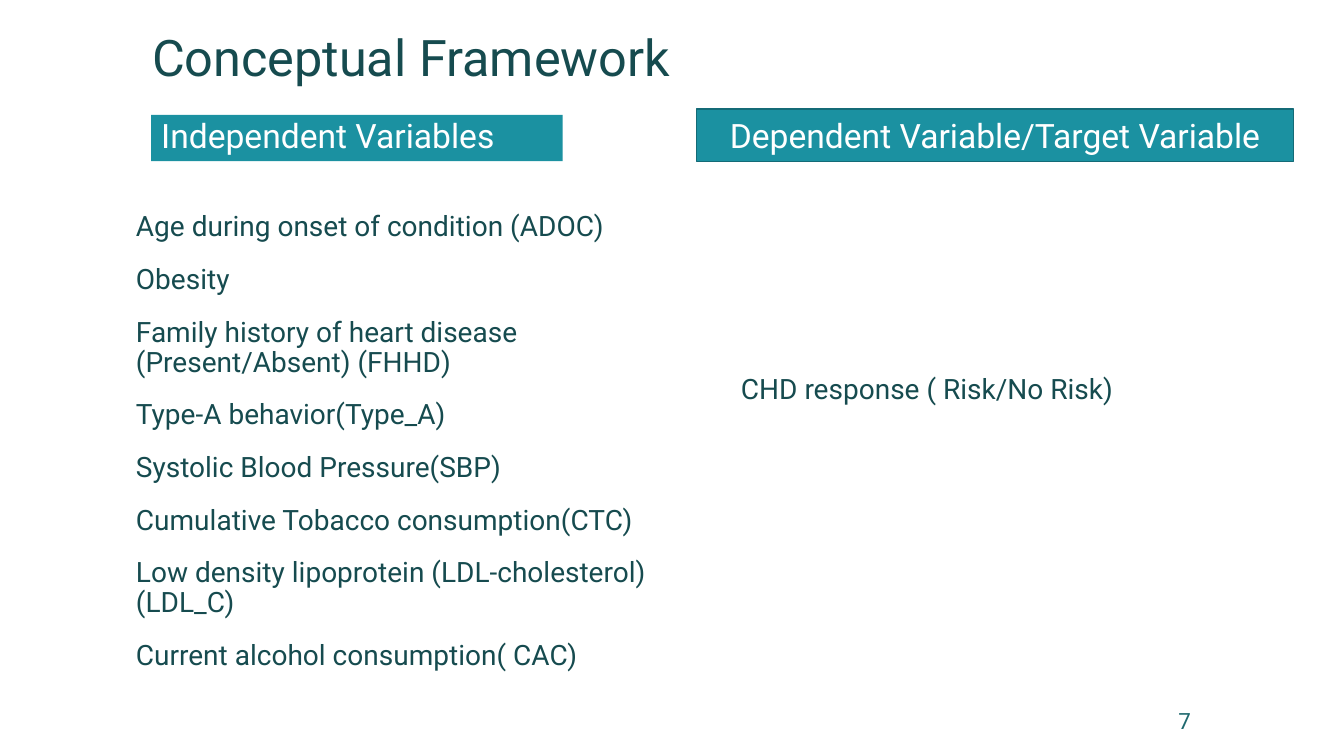
"""Build the Conceptual Framework slide."""
from pptx import Presentation
from pptx.dml.color import RGBColor
from pptx.enum.shapes import MSO_SHAPE
from pptx.enum.text import MSO_ANCHOR, PP_ALIGN
from pptx.util import Inches, Pt

DARK_TEAL = RGBColor(0x16, 0x4B, 0x4F)
TEAL = RGBColor(0x1B, 0x91, 0xA1)
BORDER_TEAL = RGBColor(0x14, 0x6B, 0x77)
NUMBER_TEAL = RGBColor(0x1F, 0x69, 0x6F)
WHITE = RGBColor(0xFF, 0xFF, 0xFF)

prs = Presentation()
prs.slide_width, prs.slide_height = Inches(13.33), Inches(7.5)
s = prs.slides.add_slide(prs.slide_layouts[6])


def add_text(text, box, size, color=DARK_TEAL, fill=None, line=None, align=PP_ALIGN.LEFT,
             anchor=MSO_ANCHOR.TOP, spacing=1.0, before=0):
    place = [Inches(v) for v in box]
    if fill is None:
        sp = s.shapes.add_textbox(*place)
    else:
        sp = s.shapes.add_shape(MSO_SHAPE.RECTANGLE, *place)
        sp.shadow.inherit = False
        sp.fill.solid()
        sp.fill.fore_color.rgb = fill
        if line is None:
            sp.line.fill.background()
        else:
            sp.line.color.rgb = line
            sp.line.width = Pt(1)
    tf = sp.text_frame
    tf.word_wrap = True
    tf.vertical_anchor = anchor
    tf.text = text
    for p in tf.paragraphs:
        p.alignment = align
        p.line_spacing = spacing
        p.space_before = Pt(before)
        for r in p.runs:
            r.font.name = "Roboto"
            r.font.size = Pt(size)
            r.font.color.rgb = color


independent_variables = [
    "Age during onset of condition (ADOC)",
    "Obesity",
    "Family history of heart disease (Present/Absent) (FHHD)",
    "Type-A behavior(Type_A)",
    "Systolic Blood Pressure(SBP)",
    "Cumulative Tobacco consumption(CTC)",
    "Low density lipoprotein (LDL-cholesterol) (LDL_C)",
    "Current alcohol consumption( CAC)",
]

add_text("Conceptual Framework", (1.41, 0.17, 10.5, 0.75), 36,
         anchor=MSO_ANCHOR.BOTTOM, spacing=0.9)
add_text("Independent Variables", (1.5, 1.14, 4.08, 0.46), 24, WHITE, fill=TEAL, spacing=0.9)
add_text("Dependent Variable/Target Variable", (6.91, 1.08, 5.92, 0.52), 24, WHITE, fill=TEAL,
         line=BORDER_TEAL, align=PP_ALIGN.CENTER, anchor=MSO_ANCHOR.MIDDLE)
add_text("\n".join(independent_variables), (1.25, 2.06, 5.92, 5.4), 20, spacing=0.9, before=16)
add_text("CHD response ( Risk/No Risk)", (7.25, 3.6, 4.58, 0.5), 20, anchor=MSO_ANCHOR.MIDDLE)
add_text("7", (8.8, 6.95, 3.11, 0.4), 16, NUMBER_TEAL,
         align=PP_ALIGN.RIGHT, anchor=MSO_ANCHOR.MIDDLE)

prs.save("out.pptx")
